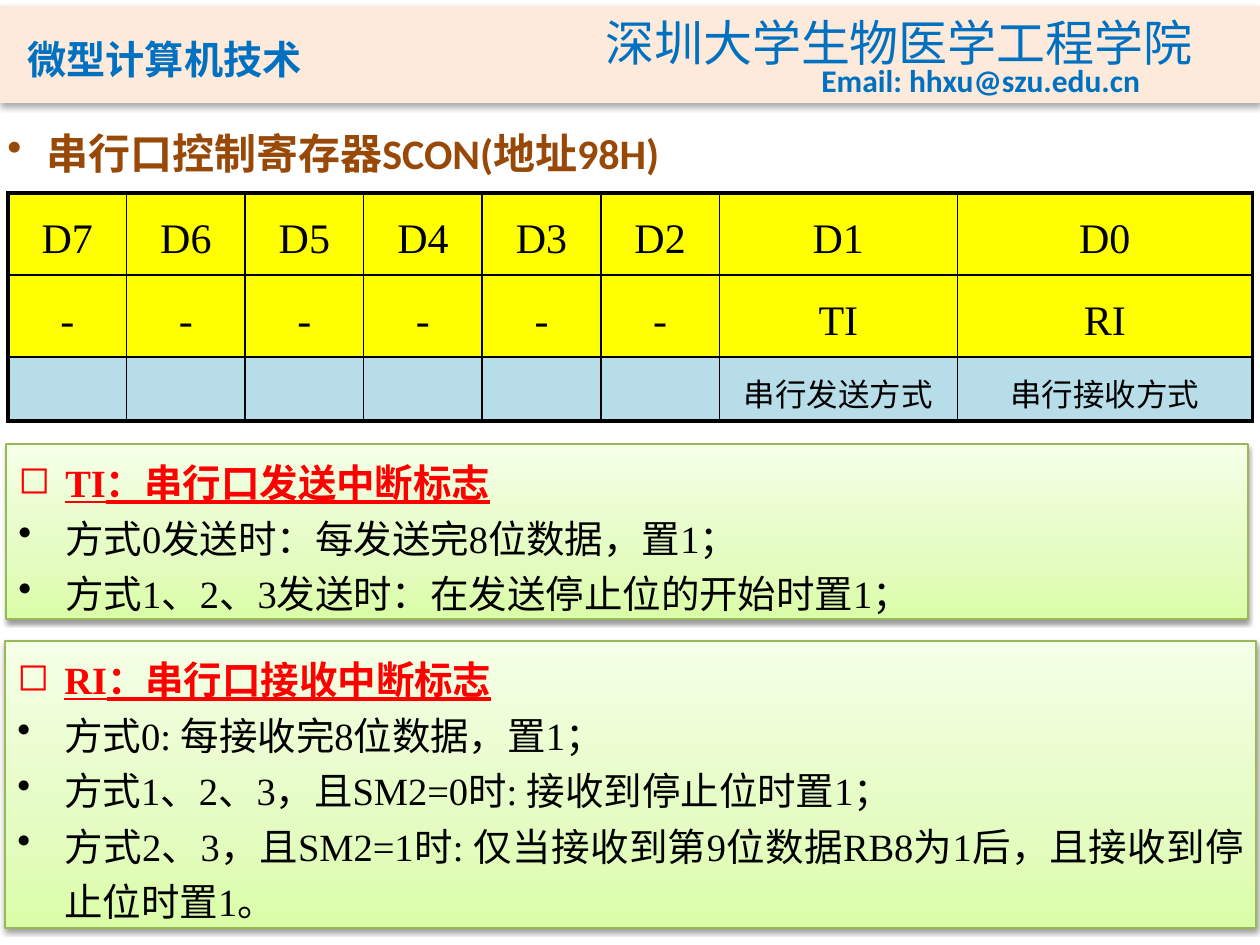
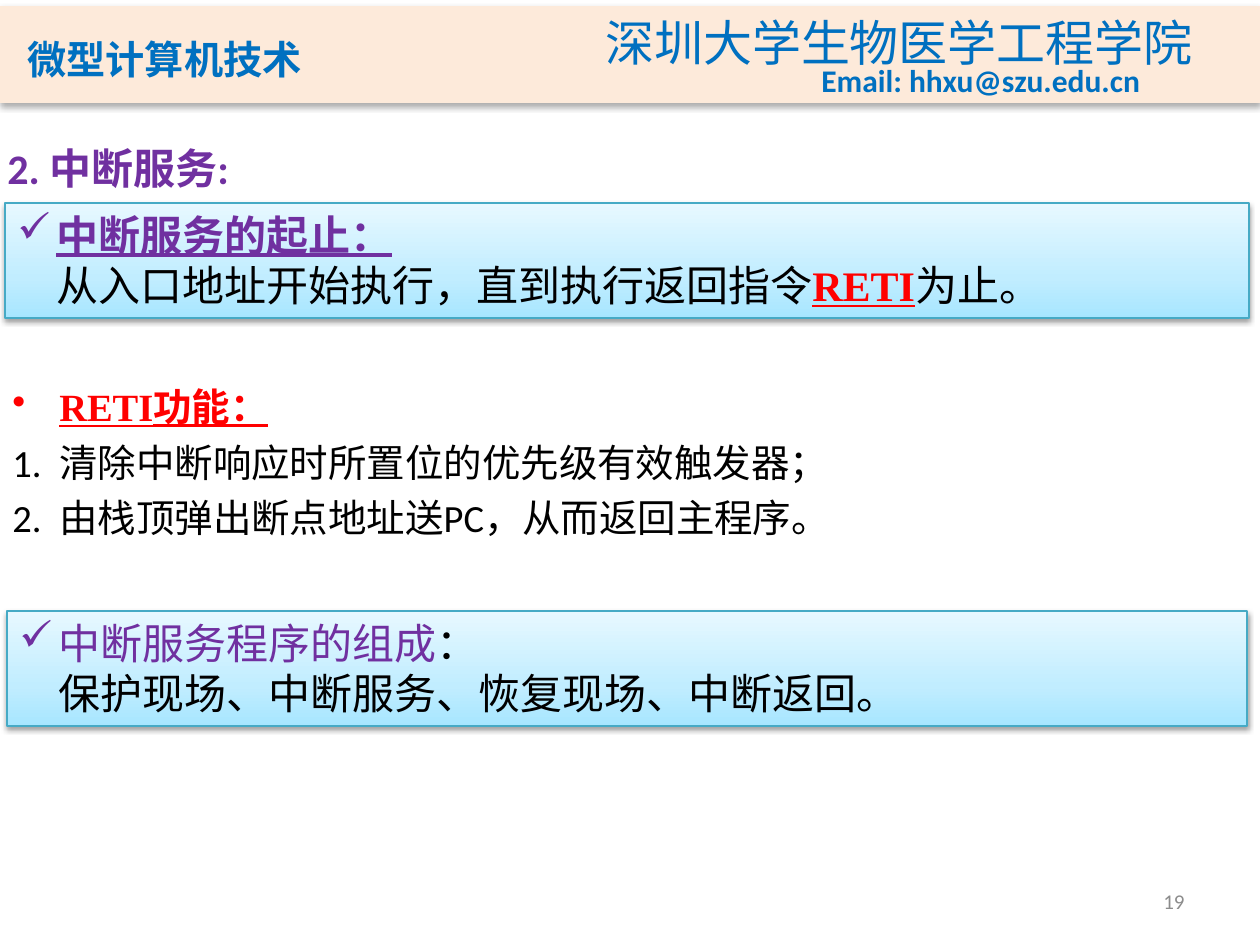
from copy import deepcopy

from lxml import etree
from pptx import Presentation
from pptx import util as u
from pptx.dml.color import RGBColor
from pptx.enum import lang, shapes, text
from pptx.oxml.ns import qn

PX_PER_INCH = 126
BLACK = RGBColor(0, 0, 0)
RED = RGBColor(0xFF, 0, 0)
BLUE = RGBColor(0, 0x70, 0xC0)
PURPLE = RGBColor(0x70, 0x30, 0xA0)
BROWN = RGBColor(0x98, 0x48, 0x07)
GREY = RGBColor(0x8C, 0x8C, 0x8C)
PEACH = RGBColor(0xFD, 0xEA, 0xDA)
YELLOW = RGBColor(0xFF, 0xFF, 0)
PALE_BLUE = RGBColor(0xB7, 0xDE, 0xE8)
GREEN_LINE = RGBColor(0x98, 0xB9, 0x55)
TEAL_LINE = RGBColor(0x46, 0xAA, 0xC5)
GREEN_STOPS = (RGBColor(0xDA, 0xFD, 0xA7), RGBColor(0xE4, 0xFC, 0xC2), RGBColor(0xF5, 0xFF, 0xE7))
TEAL_STOPS = (RGBColor(0xA7, 0xE6, 0xFF), RGBColor(0xC1, 0xED, 0xFF), RGBColor(0xE7, 0xF8, 0xFF))

SANS, SERIF = "Calibri", "Times New Roman"
HEADER = {"color": BLUE, "name": SANS}
SERIF_22 = {"size": 22, "name": SERIF}
SANS_24 = {"size": 24, "name": SANS}
FLAG = {"size": 22, "name": SERIF, "color": RED, "bold": True, "underline": True}
JUSTIFY = text.PP_ALIGN.JUSTIFY
CENTER = text.PP_ALIGN.CENTER


def px(length):
    return u.Emu(round(length * 914400 / PX_PER_INCH))


def add_xml(parent, tag, **attributes):
    values = {key: str(value) for key, value in attributes.items()}
    return etree.SubElement(parent, qn(tag), values)


def add_span(para, words, size=18, name=SANS, east=SANS, color=BLACK, **extras):
    """Add a run; east is the typeface for Chinese characters."""
    span = para.add_run()
    span.text = words
    formats = {"size": u.Pt(size), "name": name,
               "language_id": lang.MSO_LANGUAGE_ID.SIMPLIFIED_CHINESE, **extras}
    for key, value in formats.items():
        setattr(span.font, key, value)
    span.font.color.rgb = color
    add_xml(span.font._element, "a:ea", typeface=east)
    return span


def format_para(para, spacing=1.0, align=text.PP_ALIGN.LEFT, margin=0, bullet=None):
    """Lay out a paragraph; a bullet hangs in the margin, and "1." numbers it."""
    para.line_spacing, para.alignment = spacing, align
    layout = para._p.get_or_add_pPr()
    layout.set("marL", str(px(margin)))
    layout.set("indent", str(-px(margin) if bullet else 0))
    if bullet == "1.":
        add_xml(layout, "a:buAutoNum", type="arabicPeriod")
    elif bullet:
        add_xml(layout, "a:buChar", char=bullet)
    else:
        add_xml(layout, "a:buNone")


def write(shape, paragraphs, anchor=text.MSO_ANCHOR.TOP, wrap=True):
    """Fill a shape with (spans, layout) pairs; a span is (words, style)."""
    frame = shape.text_frame
    frame.word_wrap, frame.vertical_anchor = wrap, anchor
    for index, (spans, layout) in enumerate(paragraphs):
        para = frame.add_paragraph() if index else frame.paragraphs[0]
        format_para(para, **layout)
        for words, style in spans:
            add_span(para, words, **style)


def add_text(page, box, paragraphs, **options):
    label = page.shapes.add_textbox(*map(px, box))
    write(label, paragraphs, **options)
    return label


def add_shadow(shape, alpha, blur, distance):
    shape.shadow.inherit = False
    effects = shape._element.spPr.find(qn("a:effectLst"))
    shadow = add_xml(effects, "a:outerShdw", blurRad=u.Pt(blur), dist=u.Pt(distance),
                     dir=90 * 60000, rotWithShape=0)
    color = add_xml(shadow, "a:srgbClr", val=BLACK)
    add_xml(color, "a:alpha", val=alpha * 1000)


def add_panel(page, box, colors, outline, paragraphs):
    """Add a shadowed box whose gradient runs from bottom to top."""
    panel = page.shapes.add_shape(shapes.MSO_SHAPE.RECTANGLE, *map(px, box))
    panel.fill.gradient()
    panel.fill.gradient_angle = 90
    stop_list = panel._element.spPr.find(".//" + qn("a:gsLst"))
    stop_list.append(deepcopy(stop_list[0]))
    for stop, position, color in zip(panel.fill.gradient_stops, (0, 0.35, 1), colors):
        stop.position, stop.color.rgb = position, color
    panel.line.color.rgb, panel.line.width = outline, u.Pt(0.75)
    add_shadow(panel, 38, 3.1, 1.6)
    write(panel, paragraphs)


def add_header(page):
    band = page.shapes.add_shape(shapes.MSO_SHAPE.RECTANGLE, *map(px, (0, 6, 1260, 97)))
    band.fill.solid()
    band.fill.fore_color.rgb = PEACH
    band.line.fill.background()
    add_shadow(band, 32, 3.5, 2.2)
    course_style = {**HEADER, "size": 28, "bold": True,
                    "name": "Noto Sans CJK JP", "east": "Noto Sans CJK JP"}
    course = add_text(page, (15, 20, 427, 71), [([("微型计算机技术", course_style)], {})],
                      anchor=text.MSO_ANCHOR.BOTTOM)
    course.text_frame.paragraphs[0].runs[0].font._element.set("cap", "small")
    school_style = {**HEADER, "size": 28, "name": "Noto Sans CJK SC", "east": "Noto Sans CJK SC"}
    add_text(page, (593, 6, 619, 72), [([("深圳大学生物医学工程学院", school_style)], {})], wrap=False)
    mail_style = {**HEADER, "size": 18, "bold": True}
    add_text(page, (809, 55, 347, 50), [([("Email: hhxu@szu.edu.cn", mail_style)], {})], wrap=False)


def set_borders(cell, edges):
    properties = cell._tc.get_or_add_tcPr()
    for position, (side, width) in enumerate(edges.items()):
        line = etree.Element(qn("a:ln" + side), w=str(u.Pt(width)))
        fill = add_xml(line, "a:solidFill")
        add_xml(fill, "a:srgbClr", val=BLACK)
        properties.insert(position, line)


def add_register_table(page, left, top):
    blank = [""] * 6
    rows = [
        (82, 24, YELLOW, [f"D{bit}" for bit in range(7, -1, -1)]),
        (82, 24, YELLOW, ["-"] * 6 + ["TI", "RI"]),
        (64, 18, PALE_BLUE, blank + ["串行发送方式", "串行接收方式"]),
    ]
    widths = [118.6] * 6 + [238, 295]
    box = (left, top, sum(widths), sum(row[0] for row in rows))
    table = page.shapes.add_table(len(rows), len(widths), *map(px, box)).table
    for column, width in zip(table.columns, widths):
        column.width = px(width)
    margins = {"margin_left": px(13), "margin_top": 0, "margin_right": px(13), "margin_bottom": px(6)}
    for r, (height, size, color, words) in enumerate(rows):
        table.rows[r].height = px(height)
        for c, word in enumerate(words):
            cell = table.cell(r, c)
            for key, value in margins.items():
                setattr(cell, key, value)
            cell.fill.solid()
            cell.fill.fore_color.rgb = color
            outer = {"L": c == 0, "R": c == len(widths) - 1, "T": r == 0, "B": r == len(rows) - 1}
            set_borders(cell, {side: 2.25 if edge else 1 for side, edge in outer.items()})
            para = cell.text_frame.paragraphs[0]
            if word:
                format_para(para, 1.5, CENTER)
                add_span(para, word, size, SERIF)
            else:
                para.font.size = u.Pt(size)


def flag_paragraphs(heading, modes, **layout):
    shared = {"spacing": 1.2, "margin": 47}
    return [([(heading, FLAG)], {**shared, "bullet": "◻"})] + [
        ([(mode, SERIF_22)], {**shared, "bullet": "•", **layout}) for mode in modes]


def build_register_page(page):
    add_header(page)
    title = {**SANS_24, "color": BROWN, "bold": True}
    add_text(page, (-5, 96, 1260, 89), [([("串行口控制寄存器SCON(地址98H)", title)],
                                         {"spacing": 1.5, "margin": 39, "bullet": "•"})])
    add_register_table(page, 8, 193)
    add_panel(page, (6, 444, 1242, 175), GREEN_STOPS, GREEN_LINE, flag_paragraphs(
        "TI：串行口发送中断标志",
        ["方式0发送时：每发送完8位数据，置1；",
         "方式1、2、3发送时：在发送停止位的开始时置1；"]))
    add_panel(page, (5, 641, 1251, 287), GREEN_STOPS, GREEN_LINE, flag_paragraphs(
        "RI：串行口接收中断标志",
        ["方式0: 每接收完8位数据，置1；",
         "方式1、2、3，且SM2=0时: 接收到停止位时置1；",
         "方式2、3，且SM2=1时: 仅当接收到第9位数据RB8为1后，且接收到停止位时置1。"],
        align=JUSTIFY))


def add_service_panel(page, box, heading, body):
    add_panel(page, box, TEAL_STOPS, TEAL_LINE,
              [(heading, {"margin": 39, "bullet": "✓"}), (body, {"margin": 39})])


def build_service_page(page):
    add_header(page)
    purple = {**SANS_24, "color": PURPLE}
    strong = {**purple, "bold": True}
    add_text(page, (903, 876, 294, 50),
             [([("19", {"size": 12, "color": GREY})], {"align": text.PP_ALIGN.RIGHT})],
             anchor=text.MSO_ANCHOR.MIDDLE)
    add_text(page, (-5, 111, 633, 89), [([("2. 中断服务:", strong)], {"spacing": 1.5})])
    add_service_panel(page, (5, 203, 1244, 115),
                      [("中断服务的起止：", {**strong, "underline": True})],
                      [("从入口地址开始执行，直到执行返回指令", SANS_24),
                       ("RETI", {**FLAG, "size": 24}), ("为止。", SANS_24)])
    steps = ["清除中断响应时所置位的优先级有效触发器；", "由栈顶弹出断点地址送PC，从而返回主程序。"]
    add_text(page, (0, 354, 853, 242),
             [([("RETI功能：", FLAG)], {"spacing": 1.5, "margin": 47, "bullet": "•"})] +
             [([(step, {"size": 22})], {"spacing": 1.2, "margin": 47, "bullet": "1."}) for step in steps])
    add_service_panel(page, (7, 611, 1240, 115),
                      [("中断服务程序的组成", purple), ("：", SANS_24)],
                      [("保护现场、中断服务、恢复现场、中断返回。", SANS_24)])


def main():
    deck = Presentation()
    deck.slide_width, deck.slide_height = px(1260), px(945)
    for build in (build_register_page, build_service_page):
        build(deck.slides.add_slide(deck.slide_layouts[6]))
    deck.save("out.pptx")


if __name__ == "__main__":
    main()
